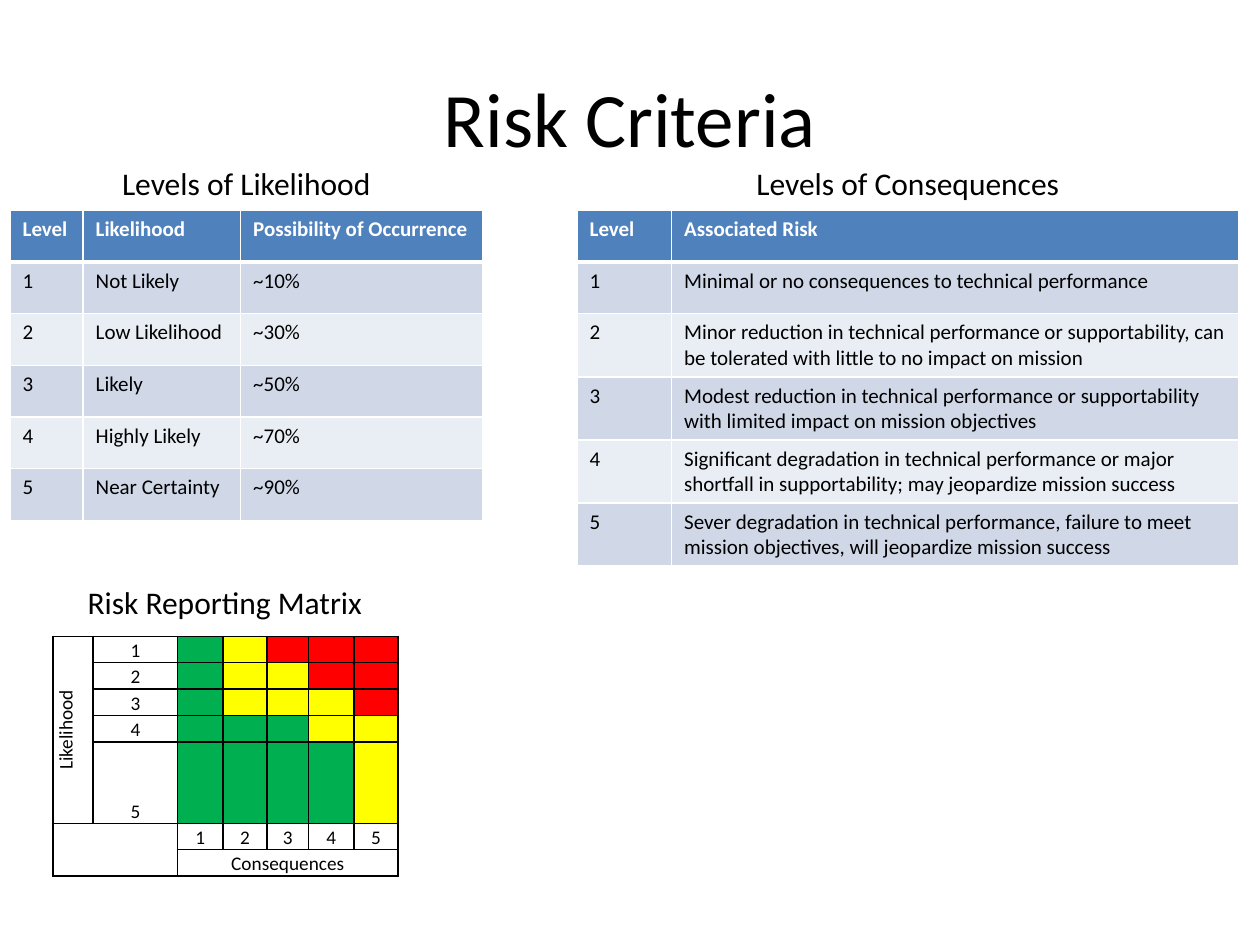
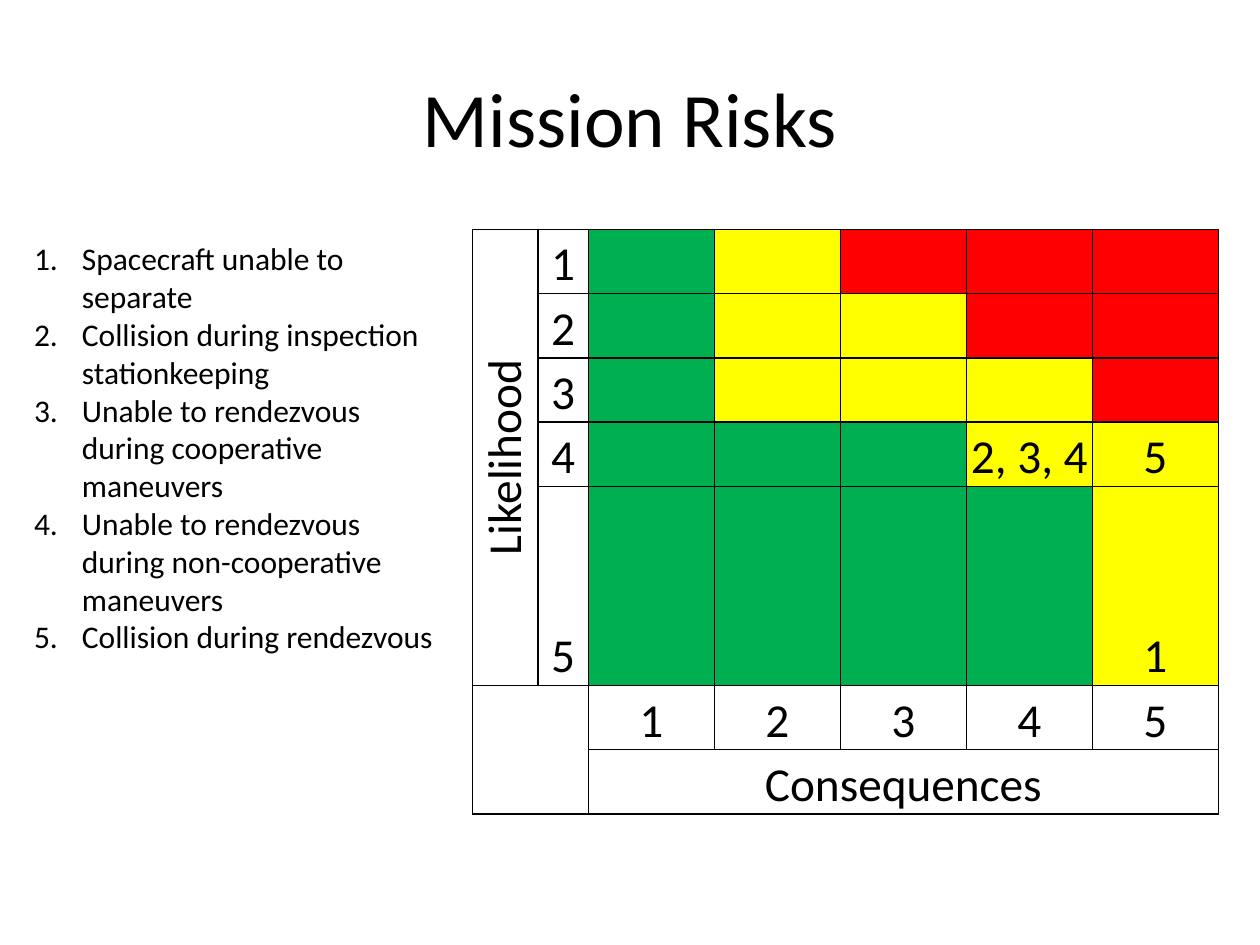
"""Build two slides on risk criteria and mission risks."""
import lxml.etree
import pptx
import pptx.dml.color
import pptx.enum.text
import pptx.oxml.ns
import pptx.util

Inches = pptx.util.Inches
Pt = pptx.util.Pt
ALIGN = pptx.enum.text.PP_ALIGN
ANCHOR = pptx.enum.text.MSO_ANCHOR
qn = pptx.oxml.ns.qn

COLOURS = {
    "text": "000000",
    "white": "FFFFFF",
    "header": "4F81BD",
    "band_dark": "D0D8E8",
    "band_light": "E9EDF4",
    "G": "00B050",
    "Y": "FFFF00",
    "R": "FF0000",
}
FONT = "Calibri"
ZONES = ["GYRRR", "GYYRR", "GYYYR", "GGGYY", "GGGGY"]

LIKELIHOODS = [
    ("Level", "Likelihood", "Possibility of Occurrence"),
    ("1", "Not Likely", "~10%"),
    ("2", "Low Likelihood", "~30%"),
    ("3", "Likely", "~50%"),
    ("4", "Highly Likely", "~70%"),
    ("5", "Near Certainty", "~90%"),
]
CONSEQUENCES = [
    ("Level", "Associated Risk"),
    ("1", "Minimal or no consequences to technical performance"),
    ("2", "Minor reduction in technical performance or supportability, can be "
          "tolerated with little to no impact on mission"),
    ("3", "Modest reduction in technical performance or supportability with "
          "limited impact on mission objectives"),
    ("4", "Significant degradation in technical performance or major shortfall "
          "in supportability; may jeopardize mission success"),
    ("5", "Sever degradation in technical performance, failure to meet mission "
          "objectives, will jeopardize mission success"),
]
MISSION_RISKS = [
    "Spacecraft unable to separate",
    "Collision during inspection stationkeeping",
    "Unable to rendezvous during cooperative maneuvers",
    "Unable to rendezvous during non-cooperative maneuvers",
    "Collision during rendezvous",
]


def rgb(name):
    return pptx.dml.color.RGBColor.from_string(COLOURS[name])


class Deck:
    def __init__(self):
        self.prs = pptx.Presentation()
        self.prs.slide_width = Inches(10)
        self.prs.slide_height = Inches(7.5)
        self.slide = None

    def style(self, paragraph, size, colour="text", bold=False, align=None):
        paragraph.alignment = align
        font = paragraph.font
        font.name, font.size, font.bold = FONT, Pt(size), bold
        font.color.rgb = rgb(colour)

    def place(self, shape, left, top, width, height):
        shape.left, shape.top = Inches(left), Inches(top)
        shape.width, shape.height = Inches(width), Inches(height)

    def new_slide(self, title, layout):
        self.slide = self.prs.slides.add_slide(self.prs.slide_layouts[layout])
        heading = self.slide.shapes.title
        self.place(heading, 0.5, 0.3, 9, 1.25)
        heading.text_frame.text = title
        self.style(heading.text_frame.paragraphs[0], 44, align=ALIGN.CENTER)

    def caption(self, text, left, top, width):
        box = self.slide.shapes.add_textbox(
            Inches(left), Inches(top), Inches(width), Inches(0.4))
        box.text_frame.word_wrap = True
        box.text_frame.text = text
        self.style(box.text_frame.paragraphs[0], 18, align=ALIGN.CENTER)

    def numbered_list(self, items, left, top, width, height):
        body = self.slide.placeholders[1]
        self.place(body, left, top, width, height)
        frame = body.text_frame
        frame.auto_size = pptx.enum.text.MSO_AUTO_SIZE.NONE
        frame.text = "\n".join(items)
        for paragraph in frame.paragraphs:
            paragraph.space_before = Pt(0)
            properties = paragraph._p.get_or_add_pPr()
            properties.set("marL", str(Inches(0.38)))
            properties.set("indent", str(-Inches(0.38)))
            lxml.etree.SubElement(properties, qn("a:buFont"), typeface="+mj-lt")
            lxml.etree.SubElement(
                properties, qn("a:buAutoNum"), type="arabicPeriod")
            self.style(paragraph, 18)

    def grid(self, left, top, widths, row_height, row_count):
        table = self.slide.shapes.add_table(
            row_count, len(widths), Inches(left), Inches(top),
            Inches(sum(widths)), Inches(row_height * row_count)).table
        table.horz_banding = False
        for column, width in zip(table.columns, widths):
            column.width = Inches(width)
        for row in table.rows:
            row.height = Inches(row_height)
        return table

    def borders(self, cell, colour, top=1, bottom=1):
        properties = cell._tc.get_or_add_tcPr()
        for side, points in zip("LRTB", (1, 1, top, bottom)):
            line = lxml.etree.SubElement(
                properties, qn(f"a:ln{side}"), w=str(Pt(points)))
            fill = lxml.etree.SubElement(line, qn("a:solidFill"))
            lxml.etree.SubElement(fill, qn("a:srgbClr"), val=COLOURS[colour])

    def fill(self, cell, colour):
        cell.fill.solid()
        cell.fill.fore_color.rgb = rgb(colour)

    def criteria_table(self, rows, left, top, widths):
        table = self.grid(left, top, widths, 0.41, len(rows))
        for r, row in enumerate(rows):
            header = r == 0
            band = "header" if header else "band_dark" if r % 2 else "band_light"
            for c, text in enumerate(row):
                cell = table.cell(r, c)
                cell.text = text
                self.borders(cell, "white", top=3 if r == 1 else 1,
                             bottom=3 if header else 1)
                self.fill(cell, band)
                self.style(cell.text_frame.paragraphs[0], 12,
                           "white" if header else "text", header)

    def risk_matrix(self, left, top, widths, row_height, size, margin, marks):
        levels = len(ZONES)
        table = self.grid(left, top, widths, row_height, levels + 2)
        table.first_row = False
        labels = {(0, 0): "Likelihood", (levels + 1, 2): "Consequences"}
        for i in range(levels):
            labels[i, 1] = labels[levels, i + 2] = str(i + 1)
        labels.update(marks)
        for r in range(levels + 2):
            for c in range(levels + 2):
                cell = table.cell(r, c)
                cell.text = labels.get((r, c), "")
                cell.margin_left = cell.margin_right = Inches(margin)
                cell.margin_top, cell.margin_bottom = Inches(margin), 0
                cell.vertical_anchor = ANCHOR.BOTTOM
                self.borders(cell, "text")
                if r < levels and c >= 2:
                    self.fill(cell, ZONES[r][c - 2])
                else:
                    cell.fill.background()
                paragraph = cell.text_frame.paragraphs[0]
                self.style(paragraph, size, align=ALIGN.CENTER)
                if not cell.text:
                    lxml.etree.SubElement(
                        paragraph._p, qn("a:endParaRPr"), sz=str(size * 100))
        likelihood = table.cell(0, 0)
        likelihood.vertical_anchor = ANCHOR.MIDDLE
        likelihood._tc.get_or_add_tcPr().set("vert", "vert270")
        likelihood.merge(table.cell(levels - 1, 0))
        table.cell(levels, 0).merge(table.cell(levels + 1, 1))
        table.cell(levels + 1, 2).merge(table.cell(levels + 1, levels + 1))


def main():
    deck = Deck()

    deck.new_slide("Risk Criteria", 5)
    deck.criteria_table(LIKELIHOODS, 0.08, 1.67, [0.58, 1.25, 1.92])
    deck.caption("Levels of Likelihood", 0.08, 1.25, 3.75)
    deck.criteria_table(CONSEQUENCES, 4.58, 1.67, [0.75, 4.5])
    deck.caption("Levels of Consequences", 4.58, 1.25, 5.25)
    deck.risk_matrix(0.42, 5.05, [0.32, 0.67, 0.36, 0.35, 0.33, 0.36, 0.35],
                     0.21, 11, 0.01, {})
    deck.caption("Risk Reporting Matrix", 0.45, 4.58, 2.67)

    deck.new_slide("Mission Risks", 1)
    deck.numbered_list(MISSION_RISKS, 0.17, 1.85, 3.5, 3.43)
    deck.risk_matrix(3.75, 1.82, [0.52, 0.4] + [1] * 5, 0.51, 27, 0.03,
                     {(3, 5): "2, 3, 4", (3, 6): "5", (4, 6): "1"})

    deck.prs.save("out.pptx")


if __name__ == "__main__":
    main()
